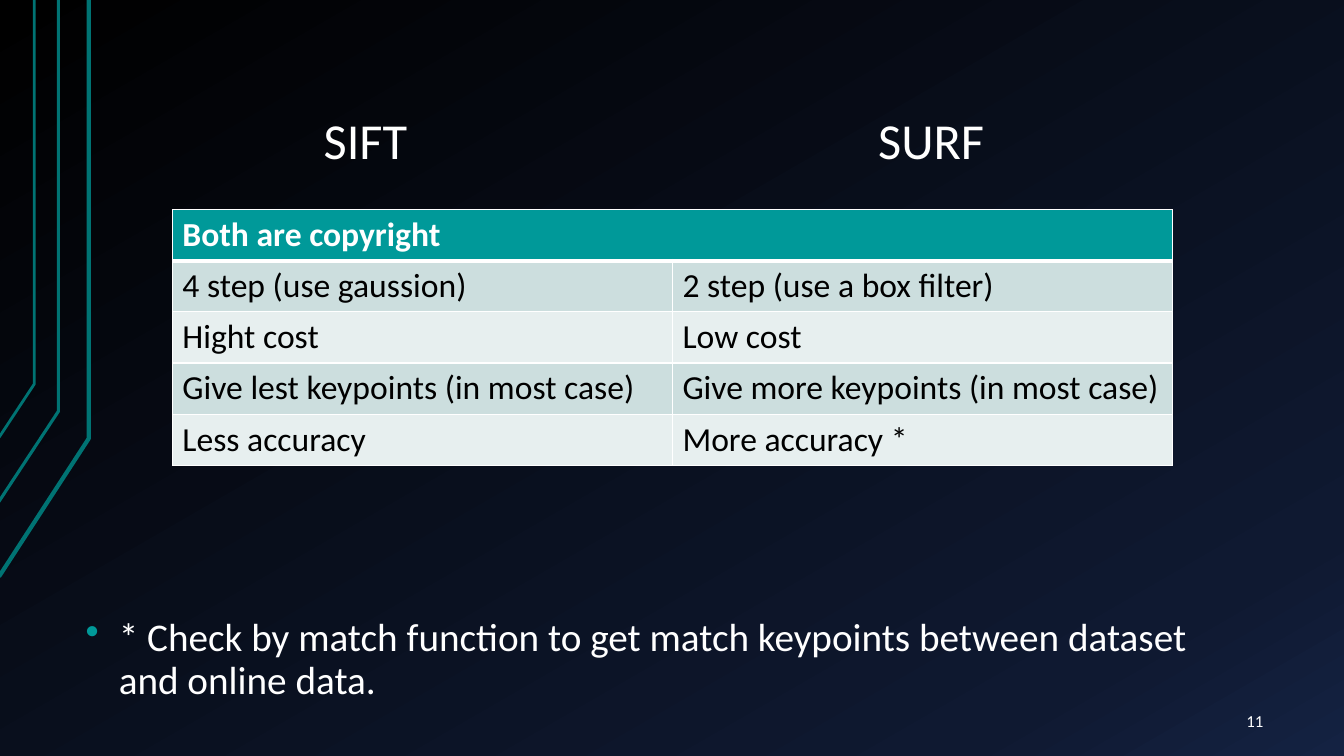
from copy import deepcopy
from dataclasses import dataclass

from lxml import etree
from pptx import Presentation
from pptx import util as u
from pptx.dml import color
from pptx.enum import text as t
from pptx.oxml import ns


@dataclass(frozen=True)
class Theme:
    font: str = "Calibri"
    white: str = "FFFFFF"
    black: str = "000000"
    teal: str = "009999"
    line: str = "007373"
    bands: tuple = ("CCDEDE", "E7EFEF")
    backdrop: tuple = ((0, "000000"), (85, "0F1931"), (100, "142242"))
    heading: int = 36
    note: int = 28
    cell: int = 24
    number: int = 12


THEME = Theme()
ROWS = (
    ("Both are copyright", ""),
    ("4 step (use gaussion)", "2 step (use a box filter)"),
    ("Hight cost", "Low cost"),
    ("Give lest keypoints (in most case)", "Give more keypoints (in most case)"),
    ("Less accuracy", "More accuracy *"),
)


def rgb(value):
    return color.RGBColor.from_string(value)


def add_xml(parent, tag, **attributes):
    return etree.SubElement(parent, ns.qn(tag), attributes)


def place(shape, box):
    shape.left, shape.top, shape.width, shape.height = map(u.Inches, box)


def format_paragraph(para, size, fill=THEME.white, bold=False):
    para.font.name = THEME.font
    para.font.size = u.Pt(size)
    para.font.bold = bold
    para.font.color.rgb = rgb(fill)


def write(shape, text, size, anchor, inset=(0.13, 0.07)):
    frame = shape.text_frame
    frame.word_wrap = True
    frame.auto_size = t.MSO_AUTO_SIZE.NONE
    frame.vertical_anchor = anchor
    frame.margin_left = frame.margin_right = u.Inches(inset[0])
    frame.margin_top = frame.margin_bottom = u.Inches(inset[1])
    frame.text = text
    para = frame.paragraphs[0]
    format_paragraph(para, size)
    return para


def add_text(slide, box, *content, **options):
    return write(slide.shapes.add_textbox(*map(u.Inches, box)), *content, **options)


def paint_background(slide):
    fill = slide.background.fill
    fill.gradient()
    fill.gradient_angle = 300
    stops = slide.background._cSld.find(".//" + ns.qn("a:gsLst"))
    stops.clear()
    for position, value in THEME.backdrop:
        stop = add_xml(stops, "a:gs", pos=str(position * 1000))
        add_xml(stop, "a:srgbClr", val=value)


def add_circuit_lines(slide):
    traces = (
        ((-0.01, 5.72), (0.88, 4.35), 3),
        ((-0.02, 4.99), (0.58, 4.08), 2.25),
        ((-0.01, 4.34), (0.34, 3.81), 2),
    )
    for start, bend, width in traces:
        builder = slide.shapes.build_freeform(*map(u.Inches, start))
        corners = [tuple(map(u.Inches, point)) for point in (bend, (bend[0], 0))]
        builder.add_line_segments(corners, close=False)
        trace = builder.convert_to_shape()
        trace.shadow.inherit = False
        trace.fill.background()
        trace.line.color.rgb = rgb(THEME.line)
        trace.line.width = u.Pt(width)


def add_headings(slide, box):
    left, top, width, height = box
    place(slide.shapes.title, (left, top, width, height))
    sift = write(slide.shapes.title, "SIFT", THEME.heading, t.MSO_ANCHOR.BOTTOM)
    surf = add_text(slide, (left + 5.5, top, width, height),
                    "SURF", THEME.heading, t.MSO_ANCHOR.BOTTOM)
    for para in (sift, surf):
        para.alignment = t.PP_ALIGN.LEFT
        para.line_spacing = 0.9


def add_borders(cell, bottom):
    properties = cell._tc.get_or_add_tcPr()
    widths = (("a:lnL", 1), ("a:lnR", 1), ("a:lnT", 1), ("a:lnB", bottom))
    for index, (tag, width) in enumerate(widths):
        border = add_xml(properties, tag, w=str(u.Pt(width)))
        add_xml(add_xml(border, "a:solidFill"), "a:srgbClr", val=THEME.white)
        properties.insert(index, border)


def add_comparison(slide, box):
    table = slide.shapes.add_table(len(ROWS), 2, *map(u.Inches, box)).table
    for row, texts in enumerate(ROWS):
        header = row == 0
        for column, text in enumerate(texts):
            cell = table.cell(row, column)
            cell.text = text
            format_paragraph(cell.text_frame.paragraphs[0], THEME.cell,
                             THEME.white if header else THEME.black, header)
            cell.fill.solid()
            cell.fill.fore_color.rgb = rgb(THEME.teal if header else THEME.bands[(row - 1) % 2])
            add_borders(cell, 3 if header else 1)
    table.cell(0, 0).merge(table.cell(0, 1))


def add_note(slide, box):
    para = add_text(
        slide, box,
        "* Check by match function to get match keypoints between dataset and online data.",
        THEME.note, t.MSO_ANCHOR.TOP, inset=(0.1, 0.05))
    para.line_spacing = 0.9
    para.space_before = u.Pt(16)
    properties = para._p.get_or_add_pPr()
    indent = u.Inches(0.33)
    properties.set("marL", str(indent))
    properties.set("indent", str(-indent))
    bullet = [etree.Element(ns.qn("a:buClr")), etree.Element(ns.qn("a:buChar"), char="•")]
    add_xml(bullet[0], "a:srgbClr", val=THEME.teal)
    defaults = properties.find(ns.qn("a:defRPr"))
    for element in bullet:
        defaults.addprevious(element)


def add_number(slide, box):
    para = add_text(slide, box, "11", THEME.number, t.MSO_ANCHOR.MIDDLE)
    para.alignment = t.PP_ALIGN.RIGHT


def main():
    deck = Presentation()
    deck.slide_width, deck.slide_height = u.Inches(13.33), u.Inches(7.5)
    slide = deck.slides.add_slide(deck.slide_layouts[5])
    paint_background(slide)
    add_circuit_lines(slide)
    add_comparison(slide, (1.71, 2.08, 9.92, 2.5))
    add_headings(slide, (3.08, 0.42, 1.67, 1.34))
    add_note(slide, (0.75, 6.08, 11.33, 1.22))
    add_number(slide, (11.55, 6.95, 1.11, 0.4))
    deck.save("out.pptx")


if __name__ == "__main__":
    main()
